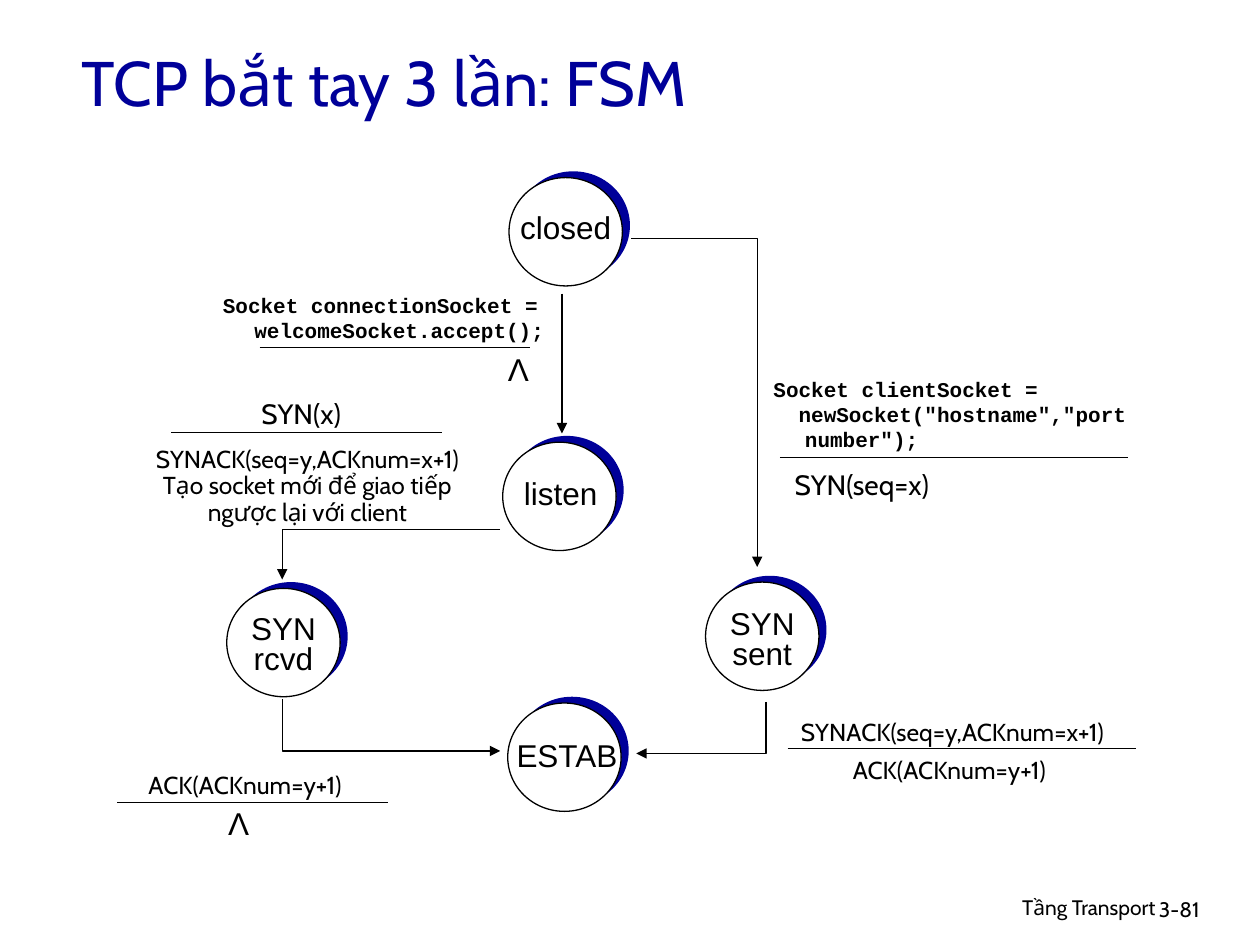
from typing import NamedTuple

from lxml import etree
from pptx import Presentation
from pptx.dml.color import RGBColor
from pptx.enum.shapes import MSO_CONNECTOR, MSO_SHAPE
from pptx.enum.text import MSO_ANCHOR, MSO_AUTO_SIZE, PP_ALIGN
from pptx.oxml.ns import qn
from pptx.util import Inches, Pt

NAVY = RGBColor(0x00, 0x00, 0x99)
BLACK = RGBColor(0x00, 0x00, 0x00)
WHITE = RGBColor(0xFF, 0xFF, 0xFF)
SANS, BODY, CODE = "Arial", "Cabin", "Courier New"
LEFT, CENTER, RIGHT = PP_ALIGN.LEFT, PP_ALIGN.CENTER, PP_ALIGN.RIGHT
DISC_WIDTH, DISC_HEIGHT = 0.9, 0.86
DISC_SHIFT = (0.06, -0.05)
LINE_WIDTH = 0.75
CODE_INDENT = 0.25

Point = tuple[float, float]


class Label(NamedTuple):
    text: str
    left: float
    top: float
    width: float
    height: float
    size: int = 14
    font: str = BODY
    align: PP_ALIGN = CENTER
    spacing: float = 1.0
    color: RGBColor = BLACK
    wrap: bool = False


class State(NamedTuple):
    left: float
    top: float
    label: Label


TITLE = Label("TCP bắt tay 3 lần: FSM", 0.55, 0.18, 7.61, 0.93, 36,
              align=LEFT, color=NAVY, wrap=True)
FOOTERS = [
    Label("Tầng Transport", 6.1, 7.05, 3.17, 0.31, 12, align=RIGHT, wrap=True),
    Label("3-81", 9.1, 7.07, 0.74, 0.3, 12, align=LEFT, wrap=True),
]
STATES = [
    State(4.04, 1.41, Label("closed", 3.99, 1.6, 1.0, 0.4, 18, SANS)),
    State(3.99, 3.51, Label("listen", 4.0, 3.71, 0.9, 0.4, 18, SANS)),
    State(1.8, 4.67, Label("SYN\nrcvd", 1.8, 4.84, 0.9, 0.58, 18, SANS, spacing=0.8)),
    State(5.6, 4.62, Label("SYN\nsent", 5.6, 4.8, 0.9, 0.58, 18, SANS, spacing=0.8)),
    State(4.03, 5.58, Label("ESTAB", 3.95, 5.85, 1.1, 0.34, 18, SANS, spacing=0.8)),
]
# Each transition runs from its first point to the arrowhead at its last
TRANSITIONS = [
    [(4.46, 2.33), (4.46, 3.44)],
    [(5.01, 1.89), (6.01, 1.89), (6.01, 4.5)],
    [(3.97, 4.2), (2.24, 4.2), (2.24, 4.6)],
    [(2.24, 5.55), (2.24, 5.96), (3.97, 5.96)],
    [(6.08, 5.57), (6.08, 5.98), (5.05, 5.98)],
]
# Rules between event and action: left, right, height on the slide
RULES = [
    (2.06, 4.21, 2.76),
    (1.36, 3.51, 3.43),
    (6.19, 8.95, 3.63),
    (6.25, 9.02, 5.94),
    (0.93, 3.08, 6.37),
]
EVENTS_AND_ACTIONS = [
    Label("Socket connectionSocket = welcomeSocket.accept();",
          1.67, 2.27, 2.82, 0.5, 12, CODE, LEFT, wrap=True),
    Label("Λ", 3.93, 2.73, 0.37, 0.4, 18, SANS),
    Label('Socket clientSocket =\n  newSocket("hostname","port number");',
          6.04, 2.94, 3.16, 0.7, 12, CODE, LEFT, wrap=True),
    Label("SYN(seq=x)", 6.16, 3.66, 1.36, 0.37, 16),
    Label("SYN(x)", 1.96, 3.1, 0.86, 0.37, 16),
    Label("SYNACK(seq=y,ACKnum=x+1)\nTạo socket mới để giao tiếp\nngược lại với client",
          1.01, 3.5, 2.86, 0.74, spacing=0.9),
    Label("SYNACK(seq=y,ACKnum=x+1)", 6.13, 5.67, 2.86, 0.32, spacing=0.9),
    Label("ACK(ACKnum=y+1)", 6.58, 5.97, 1.91, 0.32, spacing=0.9),
    Label("ACK(ACKnum=y+1)", 0.99, 6.09, 1.91, 0.32, spacing=0.9),
    Label("Λ", 1.71, 6.33, 0.37, 0.4, 18, SANS),
]


def add_label(slide, label: Label, anchor: MSO_ANCHOR = MSO_ANCHOR.TOP) -> None:
    box = slide.shapes.add_textbox(Inches(label.left), Inches(label.top),
                                   Inches(label.width), Inches(label.height))
    frame = box.text_frame
    frame.word_wrap = label.wrap
    if not label.wrap:
        frame.auto_size = MSO_AUTO_SIZE.SHAPE_TO_FIT_TEXT
    frame.vertical_anchor = anchor
    frame.text = label.text
    for paragraph in frame.paragraphs:
        paragraph.alignment = label.align
        paragraph.line_spacing = label.spacing
        if label.font == CODE:
            properties = paragraph._p.get_or_add_pPr()
            properties.set("marL", str(Inches(CODE_INDENT)))
            properties.set("indent", str(-Inches(CODE_INDENT)))
        for run in paragraph.runs:
            run.font.name = label.font
            run.font.size = Pt(label.size)
            run.font.bold = label.font == CODE
            run.font.color.rgb = label.color


def add_disc(slide, left: float, top: float, color: RGBColor, outlined: bool) -> None:
    disc = slide.shapes.add_shape(MSO_SHAPE.OVAL, Inches(left), Inches(top),
                                  Inches(DISC_WIDTH), Inches(DISC_HEIGHT))
    disc.shadow.inherit = False
    disc.fill.solid()
    disc.fill.fore_color.rgb = color
    if outlined:
        disc.line.color.rgb = BLACK
        disc.line.width = Pt(LINE_WIDTH)
    else:
        disc.line.fill.background()


def add_state(slide, state: State) -> None:
    shift_x, shift_y = DISC_SHIFT
    add_disc(slide, state.left + shift_x, state.top + shift_y, NAVY, False)
    add_disc(slide, state.left, state.top, WHITE, True)
    add_label(slide, state.label)


def add_line(slide, start: Point, end: Point):
    line = slide.shapes.add_connector(MSO_CONNECTOR.STRAIGHT,
                                      *map(Inches, start), *map(Inches, end))
    line.line.color.rgb = BLACK
    line.line.width = Pt(LINE_WIDTH)
    etree.SubElement(line._element.spPr, qn("a:effectLst"))
    return line


def add_bent_line(slide, points: list[Point]):
    start, *rest = [(Inches(x), Inches(y)) for x, y in points]
    builder = slide.shapes.build_freeform(*start)
    builder.add_line_segments(rest, close=False)
    bent = builder.convert_to_shape()
    bent.shadow.inherit = False
    bent.fill.background()
    bent.line.color.rgb = BLACK
    bent.line.width = Pt(LINE_WIDTH)
    return bent


def add_transition(slide, points: list[Point]) -> None:
    if len(points) == 2:
        arrow = add_line(slide, *points)
    else:
        arrow = add_bent_line(slide, points)
    outline = arrow._element.spPr.find(qn("a:ln"))
    etree.SubElement(outline, qn("a:tailEnd"), type="triangle")


def main() -> None:
    deck = Presentation()
    deck.slide_width, deck.slide_height = Inches(10), Inches(7.5)
    slide = deck.slides.add_slide(deck.slide_layouts[6])

    # Title and footer
    add_label(slide, TITLE, MSO_ANCHOR.MIDDLE)
    for footer in FOOTERS:
        add_label(slide, footer)

    # State machine
    for state in STATES:
        add_state(slide, state)
    for points in TRANSITIONS:
        add_transition(slide, points)

    # Event above each rule, action below it
    for left, right, height in RULES:
        add_line(slide, (left, height), (right, height))
    for label in EVENTS_AND_ACTIONS:
        add_label(slide, label)

    deck.save("out.pptx")


if __name__ == "__main__":
    main()
